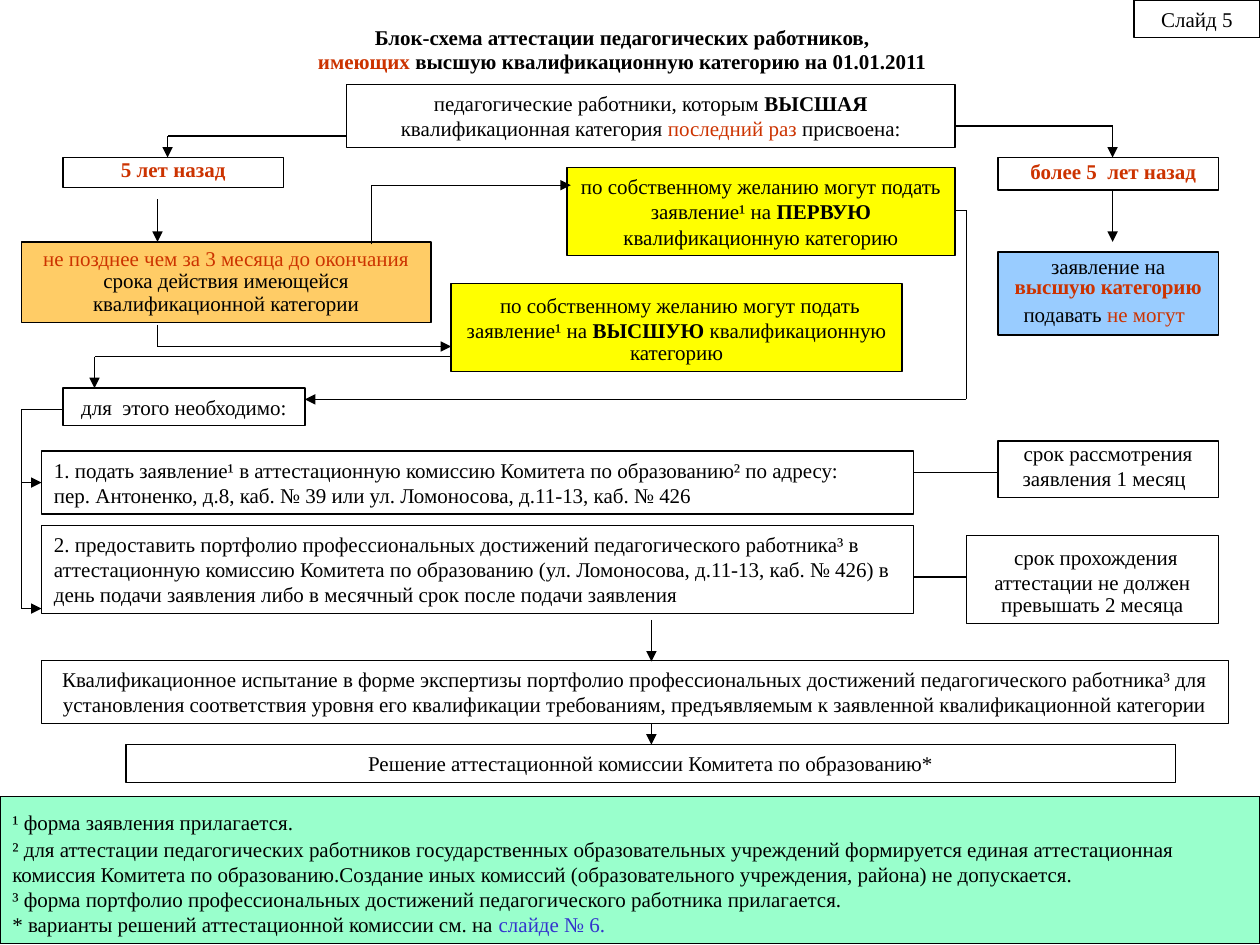
from dataclasses import dataclass
from itertools import pairwise
from typing import NamedTuple, Optional

from lxml.etree import SubElement
from pptx import Presentation
from pptx.dml.color import RGBColor
from pptx.enum.shapes import MSO_CONNECTOR as Connector, MSO_SHAPE as Shape
from pptx.enum.text import MSO_ANCHOR as Anchor, MSO_AUTO_SIZE as AutoSize, PP_ALIGN as Align
from pptx.oxml.ns import qn
from pptx.util import Inches, Pt


@dataclass(frozen=True)
class Theme:
    font: str = "Times New Roman"
    black: str = "000000"
    white: str = "FFFFFF"
    red: str = "CC3300"
    link: str = "3333CC"
    yellow: str = "FFFF00"
    orange: str = "FFCC66"
    blue: str = "99CCFF"
    green: str = "99FFCC"
    text: float = 12
    spacer: float = 16
    tail: float = 18
    line: float = 0.75


THEME = Theme()


class Run(NamedTuple):
    text: str
    color: str = THEME.black
    bold: bool = False
    size: float = THEME.text


class Box(NamedTuple):
    left: float
    top: float
    width: float
    height: float
    paragraphs: list[list[Run]]
    fill: Optional[str] = None
    align: Align = Align.CENTER
    spacing: float = 1.0
    inset: float = 0.1


class Route(NamedTuple):
    points: list[tuple[float, float]]
    arrow: bool = True


def red(text: str, bold: bool = False) -> Run:
    return Run(text, THEME.red, bold)


def write(frame, paragraphs: list[list[Run]], *, align: Align = Align.CENTER,
          spacing: float = 1.0, before: float = 0, inset: float = 0.1) -> None:
    """Fill a text frame with formatted runs."""
    frame.word_wrap = True
    frame.auto_size = AutoSize.SHAPE_TO_FIT_TEXT
    frame.vertical_anchor = Anchor.TOP
    frame.margin_left = Inches(inset)
    for index, runs in enumerate(paragraphs):
        paragraph = frame.add_paragraph() if index else frame.paragraphs[0]
        paragraph.alignment = align
        paragraph.line_spacing = spacing
        paragraph.space_before = Pt(before if index else 0)
        for run in runs:
            piece = paragraph.add_run()
            piece.text = run.text
            piece.font.name = THEME.font
            piece.font.size = Pt(run.size)
            piece.font.bold = run.bold
            piece.font.color.rgb = RGBColor.from_string(run.color)


def draw_box(slide, box: Box) -> None:
    shape = slide.shapes.add_shape(Shape.RECTANGLE, Inches(box.left), Inches(box.top),
                                   Inches(box.width), Inches(box.height))
    shape.shadow.inherit = False
    if box.fill:
        shape.fill.solid()
        shape.fill.fore_color.rgb = RGBColor.from_string(box.fill)
    else:
        shape.fill.background()
    shape.line.color.rgb = RGBColor.from_string(THEME.black)
    shape.line.width = Pt(THEME.line)
    write(shape.text_frame, box.paragraphs, align=box.align,
          spacing=box.spacing, inset=box.inset)


def draw_route(slide, route: Route) -> None:
    """Draw straight segments; the last one carries the arrowhead."""
    for start, end in pairwise(route.points):
        segment = slide.shapes.add_connector(
            Connector.STRAIGHT, *(Inches(value) for value in (*start, *end)))
        segment.line.color.rgb = RGBColor.from_string(THEME.black)
        segment.line.width = Pt(THEME.line)
        properties = segment.element.spPr
        if route.arrow and end == route.points[-1]:
            SubElement(properties.find(qn("a:ln")), qn("a:tailEnd"), type="triangle")
        SubElement(properties, qn("a:effectLst"))


TITLE = [
    [Run("Блок-схема аттестации педагогических работников, ", bold=True)],
    [red("имеющих", True),
     Run(" высшую квалификационную категорию на 01.01.2011 ", bold=True)],
]

BOXES = [
    # Starting question and its two answers
    Box(9, 0, 1, 0.3, [[Run("Слайд 5")]], THEME.white),
    Box(2.75, 0.67, 4.83, 0.5, [[
        Run("педагогические работники, которым "), Run("ВЫСШАЯ ", bold=True),
        Run("квалификационная категория "), red("последний раз"), Run(" присвоена:")]]),
    Box(0.5, 1.25, 1.75, 0.24, [[red("5 лет назад", True)]], spacing=0.7),
    Box(7.92, 1.25, 1.75, 0.26, [[red("более 5  лет назад", True)]],
        spacing=0.8, inset=0.18),
    # Which category may be applied for
    Box(0.17, 1.92, 3.25, 0.64, [[
        red("не позднее чем за 3 месяца до окончания"),
        Run(" срока действия имеющейся квалификационной категории")]],
        THEME.orange, spacing=0.9),
    Box(4.5, 1.33, 3.08, 0.7, [[
        Run("по собственному желанию могут подать заявление¹ на "),
        Run("ПЕРВУЮ", bold=True), Run(" квалификационную категорию")]], THEME.yellow),
    Box(3.58, 2.25, 3.58, 0.7, [[
        Run(" ", size=THEME.spacer),
        Run("по собственному желанию могут подать заявление¹ на "),
        Run("ВЫСШУЮ", bold=True), Run(" квалификационную категорию")]],
        THEME.yellow, spacing=0.9),
    Box(7.92, 2, 1.75, 0.66, [[
        Run("заявление на "), red("высшую категорию", True), Run(" подавать "),
        red("не могут"), Run(" ", size=THEME.tail)]], THEME.blue, spacing=0.8),
    # Required steps and their terms
    Box(0.5, 3.08, 1.92, 0.3, [[Run("для  этого необходимо:")]]),
    Box(0.33, 3.58, 6.92, 0.5, [
        [Run("1. подать заявление¹ в аттестационную комиссию Комитета по образованию² "
             "по адресу:")],
        [Run("пер. Антоненко, д.8, каб. № 39 или ул. Ломоносова, д.11-13, каб. № 426")]],
        align=Align.LEFT),
    Box(7.92, 3.5, 1.75, 0.45, [[
        Run("срок рассмотрения заявления 1 месяц"), Run(" ", size=THEME.tail)]],
        spacing=0.7),
    Box(0.33, 4.17, 6.92, 0.7, [[
        Run("2. предоставить портфолио профессиональных достижений педагогического "
            "работника³ в аттестационную комиссию Комитета по образованию "
            "(ул. Ломоносова, д.11-13, каб. № 426) в день подачи заявления либо "
            "в месячный срок после подачи заявления")]], align=Align.LEFT),
    Box(7.67, 4.25, 2, 0.7, [[
        Run(" ", size=THEME.spacer),
        Run("срок прохождения аттестации не должен превышать 2 месяца")]], spacing=0.9),
    # Examination and decision
    Box(0.33, 5.24, 9.42, 0.5, [[
        Run("Квалификационное испытание в форме экспертизы портфолио профессиональных "
            "достижений педагогического работника³ для установления соответствия уровня "
            "его квалификации требованиям, предъявляемым к заявленной квалификационной "
            "категории")]]),
    Box(1, 5.91, 8.33, 0.3, [[
        Run("Решение аттестационной комиссии Комитета по образованию*")]]),
    # Footnotes
    Box(0, 6.32, 10, 1.17, [
        [Run("¹ форма заявления прилагается."), Run(" ", size=THEME.spacer)],
        [Run("² для аттестации педагогических работников государственных образовательных "
             "учреждений формируется единая аттестационная комиссия Комитета по "
             "образованию.Создание иных комиссий (образовательного учреждения, района) "
             "не допускается.")],
        [Run("³ форма портфолио профессиональных достижений педагогического работника "
             "прилагается.")],
        [Run("* варианты решений аттестационной комиссии см. на "),
         Run("слайде № 6.", THEME.link)]], THEME.green, Align.LEFT),
]

ROUTES = [
    # From the question to the answers
    Route([(2.75, 1.08), (1.33, 1.08), (1.33, 1.25)]),
    Route([(7.58, 1), (8.83, 1), (8.83, 1.25)]),
    Route([(8.83, 1.5), (8.83, 1.92)]),
    Route([(1.25, 1.58), (1.25, 1.92)]),
    # From the deadline to the two applications
    Route([(2.95, 1.94), (2.95, 1.47), (4.53, 1.47)]),
    Route([(1.25, 2.58), (1.25, 2.75), (3.58, 2.75)]),
    # From the applications to the required steps
    Route([(7.58, 1.67), (7.67, 1.67), (7.67, 3.17), (2.42, 3.17)]),
    Route([(3.58, 2.83), (0.75, 2.83), (0.75, 3.08)]),
    Route([(0.5, 3.25), (0.17, 3.25), (0.17, 4.83), (0.33, 4.83)]),
    Route([(0.17, 3.83), (0.33, 3.83)]),
    # From the steps to their terms
    Route([(7.25, 3.75), (7.92, 3.75)], arrow=False),
    Route([(7.25, 4.58), (7.67, 4.58)], arrow=False),
    # Towards the decision
    Route([(5.17, 4.92), (5.17, 5.25)]),
    Route([(5.17, 5.74), (5.17, 5.91)]),
]


def main() -> None:
    deck = Presentation()
    deck.slide_width, deck.slide_height = Inches(10), Inches(7.5)
    slide = deck.slides.add_slide(deck.slide_layouts[5])

    heading = slide.shapes.title
    heading.left, heading.top = Inches(2.25), Inches(0.25)
    heading.width, heading.height = Inches(5.42), Inches(0.37)
    write(heading.text_frame, TITLE, spacing=0.4, before=7.5)

    for box in BOXES:
        draw_box(slide, box)
    for route in ROUTES:
        draw_route(slide, route)
    deck.save("out.pptx")


if __name__ == "__main__":
    main()
